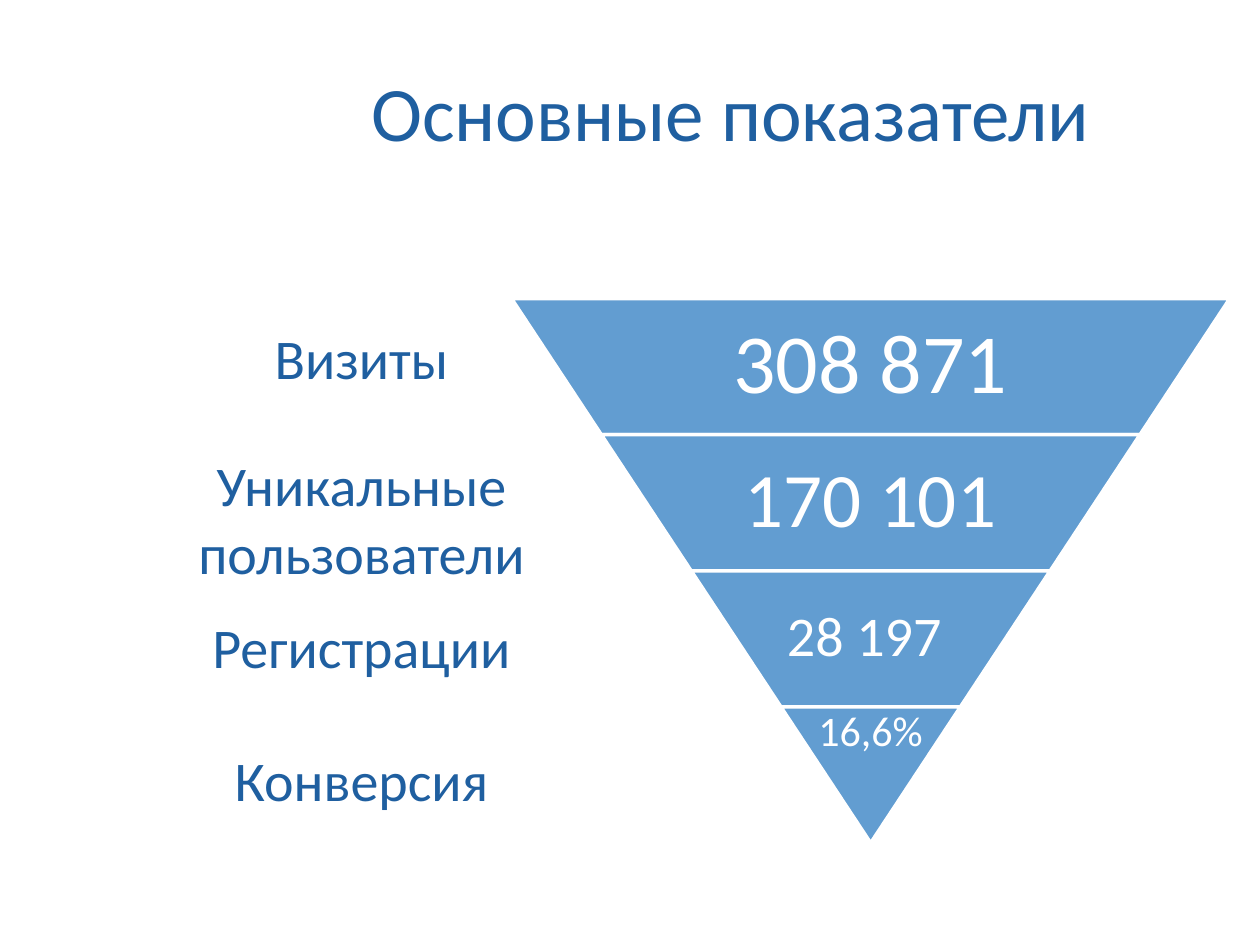
from pptx import Presentation
from pptx.dml.color import RGBColor
from pptx.enum import shapes, text
from pptx.util import Inches, Pt

BLUE = RGBColor(0x1F, 0x5F, 0xA0)
LIGHT_BLUE = RGBColor(0x62, 0x9D, 0xD1)
WHITE = RGBColor(0xFF, 0xFF, 0xFF)
FONT = "Calibri"

TITLE = "Основные показатели"
# value, size, text width as a share of the tier, inset, anchor
TIERS = [
    ("308 871", 48, 0.65, 0.07, text.MSO_ANCHOR.MIDDLE),
    ("170 101", 44, 0.65, 0.06, text.MSO_ANCHOR.MIDDLE),
    ("28 197 ", 32, 0.65, 0.04, text.MSO_ANCHOR.MIDDLE),
    ("16,6%", 24, 1, 0.03, text.MSO_ANCHOR.TOP),
]
# label, top, width, height
LABELS = [
    ("Визиты", 2.52, 1.97, 0.64),
    ("Уникальные пользователи", 3.53, 2.99, 1.18),
    ("Регистрации", 4.81, 2.91, 0.64),
    ("Конверсия", 5.87, 2.36, 0.64),
]

FUNNEL_CENTER, FUNNEL_TOP, FUNNEL_WIDTH = 6.91, 2.37, 5.7
TIER_HEIGHT = 1.08
LABEL_CENTER = 2.87


def centered_box(center, top, width, height):
    return [Inches(length) for length in (center - width / 2, top, width, height)]


def write(shape, content, size, color, anchor=text.MSO_ANCHOR.TOP,
          inset=None, line_spacing=None):
    frame = shape.text_frame
    frame.word_wrap = True
    frame.vertical_anchor = anchor
    if inset is not None:
        frame.margin_left = frame.margin_right = Inches(inset)
        frame.margin_top = frame.margin_bottom = Inches(inset)
    paragraph = frame.paragraphs[0]
    paragraph.alignment = text.PP_ALIGN.CENTER
    paragraph.line_spacing = line_spacing
    run = paragraph.add_run()
    run.text = content
    run.font.name = FONT
    run.font.size = Pt(size)
    run.font.color.rgb = color


def add_tier(slide, top, width):
    """Draw one funnel band whose sides follow the slope of the whole funnel."""
    tier = slide.shapes.add_shape(
        shapes.MSO_SHAPE.TRAPEZOID,
        *centered_box(FUNNEL_CENTER, top, width, TIER_HEIGHT))
    tier.rotation = 180
    tier.adjustments[0] = FUNNEL_WIDTH / len(TIERS) / 2 / TIER_HEIGHT
    tier.shadow.inherit = False
    tier.fill.solid()
    tier.fill.fore_color.rgb = LIGHT_BLUE
    tier.line.color.rgb = WHITE
    tier.line.width = Pt(2)


def main():
    presentation = Presentation()
    presentation.slide_width = Inches(10)
    presentation.slide_height = Inches(7.5)
    slide = presentation.slides.add_slide(presentation.slide_layouts[5])

    title = slide.shapes.title
    title.left, title.top, title.width, title.height = centered_box(5.8, 0.25, 8.37, 1.26)
    write(title, TITLE, 44, BLUE, anchor=text.MSO_ANCHOR.MIDDLE)

    for index, (value, size, share, inset, anchor) in enumerate(TIERS):
        top = FUNNEL_TOP + index * TIER_HEIGHT
        width = FUNNEL_WIDTH * (1 - index / len(TIERS))
        add_tier(slide, top, width)
        box = slide.shapes.add_textbox(
            *centered_box(FUNNEL_CENTER, top, width * share, TIER_HEIGHT))
        write(box, value, size, WHITE, anchor=anchor, inset=inset, line_spacing=0.9)

    for label, top, width, height in LABELS:
        box = slide.shapes.add_textbox(*centered_box(LABEL_CENTER, top, width, height))
        write(box, label, 32, BLUE)
        box.text_frame.auto_size = text.MSO_AUTO_SIZE.SHAPE_TO_FIT_TEXT

    presentation.save("out.pptx")


if __name__ == "__main__":
    main()
